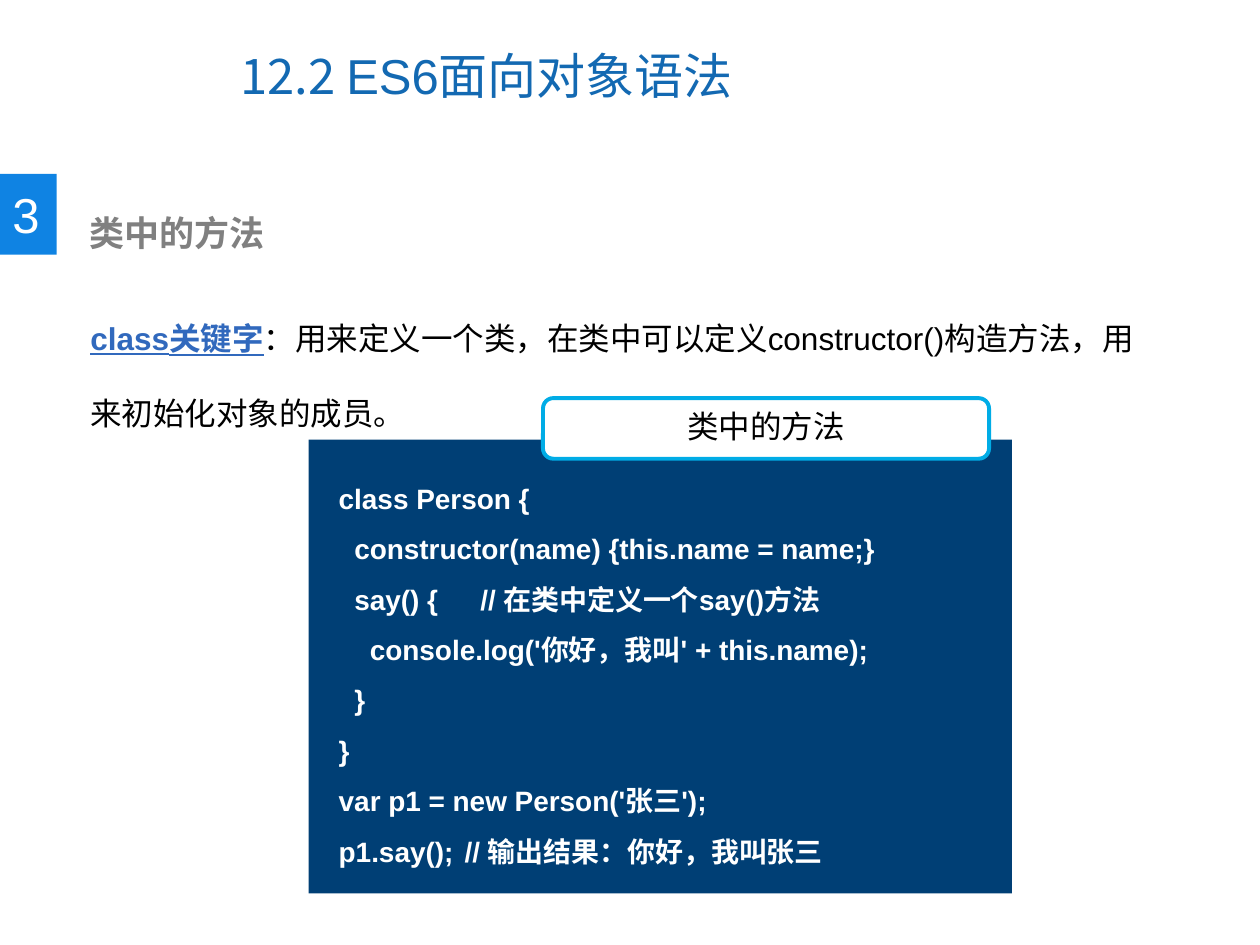
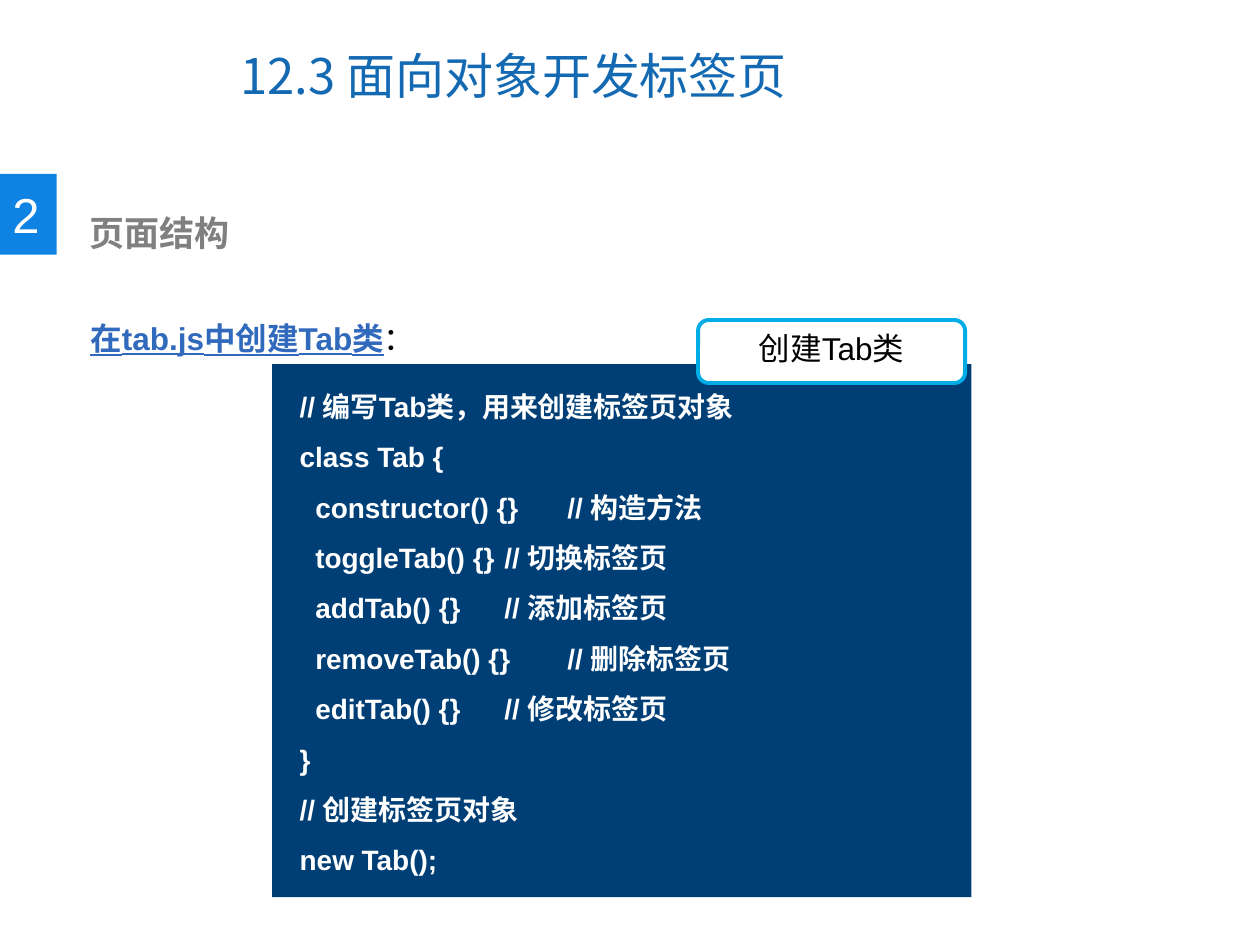
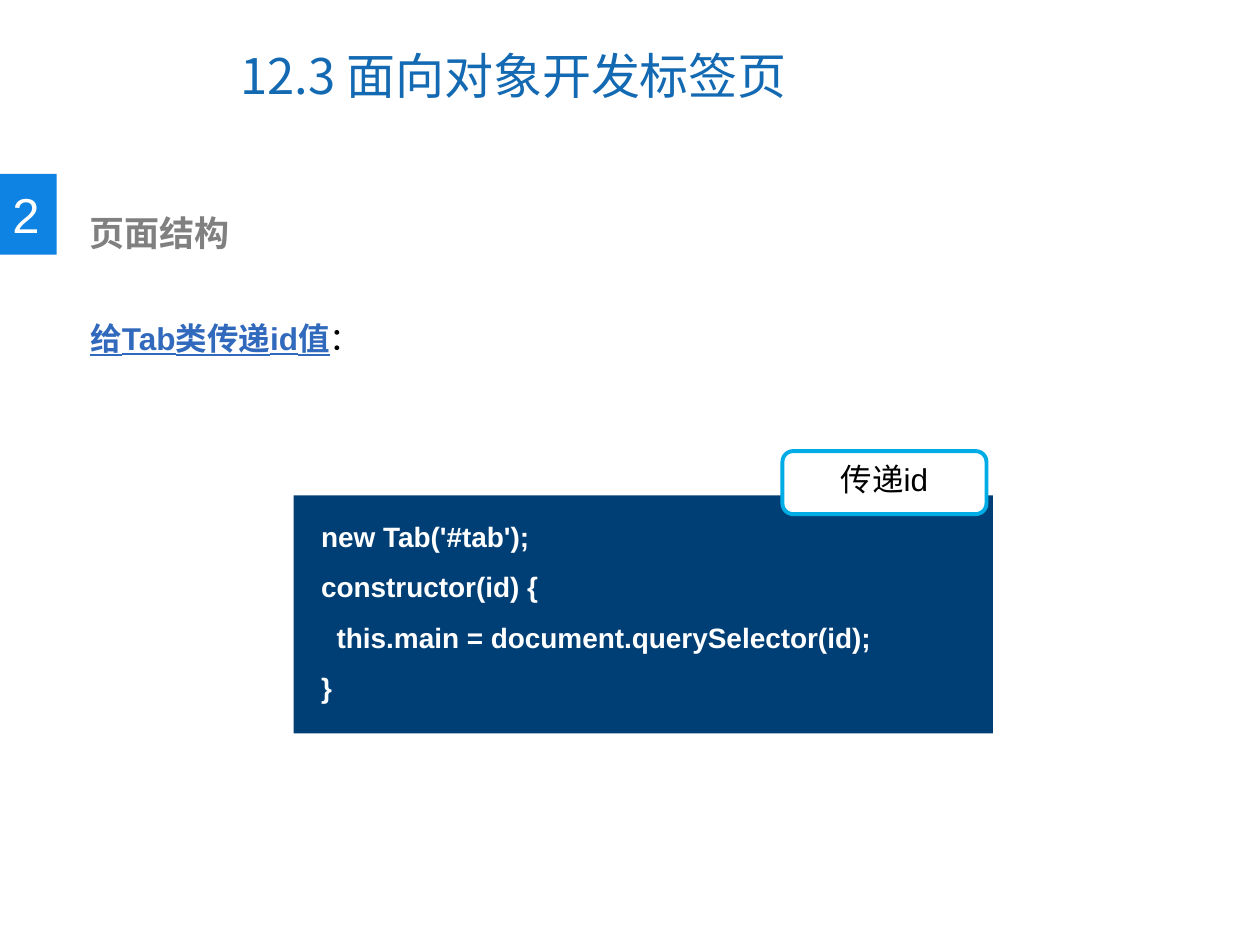
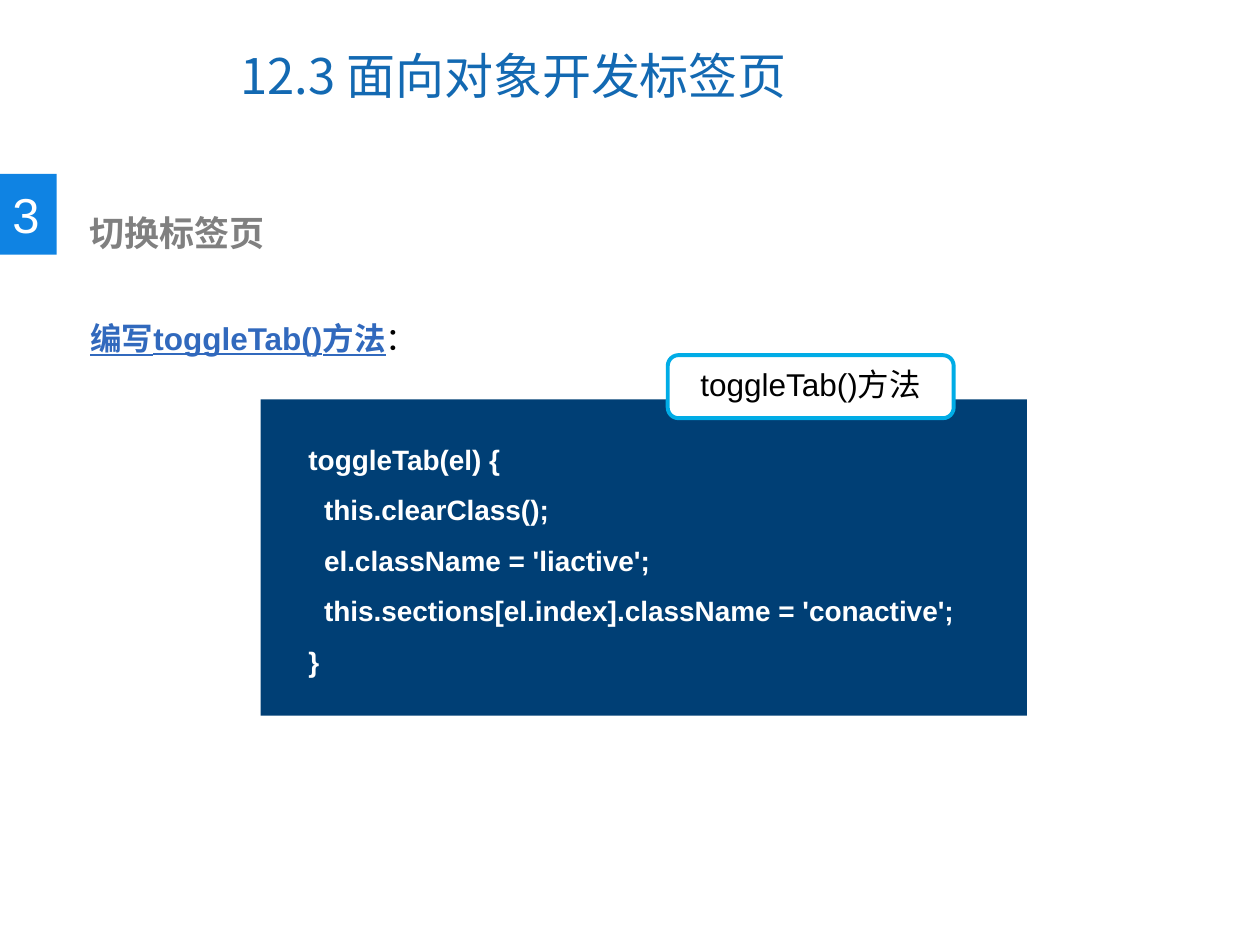
"""Build four lesson slides on classes in JavaScript and save them as out.pptx."""

from dataclasses import dataclass

from lxml import etree
from pptx import Presentation
from pptx.dml.color import RGBColor
from pptx.enum.shapes import MSO_SHAPE
from pptx.enum.text import MSO_ANCHOR, PP_ALIGN
from pptx.oxml.ns import qn
from pptx.util import Pt

RECTANGLE = MSO_SHAPE.RECTANGLE
ROUNDED = MSO_SHAPE.ROUNDED_RECTANGLE
TOP, MIDDLE = MSO_ANCHOR.TOP, MSO_ANCHOR.MIDDLE
LEFT, CENTER = PP_ALIGN.LEFT, PP_ALIGN.CENTER

LATIN = "Arial"
CHINESE = "Noto Sans CJK SC"
COLORS = {
    "title": "1369B2",
    "badge": "0F83E3",
    "subtitle": "808080",
    "keyword": "3169BD",
    "panel": "003F75",
    "tag_line": "00ACE6",
    "white": "FFFFFF",
    "black": "000000",
}
INDENT = 8.9
CODE_LINE_HEIGHT = 29
CODE_MARGINS = 7.2


@dataclass(frozen=True)
class Box:
    left: float
    top: float
    width: float
    height: float


@dataclass(frozen=True)
class Style:
    size: float
    color: str
    font: str = LATIN
    bold: bool = False
    underline: bool = False


@dataclass(frozen=True)
class Segment:
    text: str
    style: Style


@dataclass(frozen=True)
class CodeLine:
    text: str
    level: int = 0


@dataclass(frozen=True)
class Listing:
    panel: Box
    text_left: float
    text_top: float
    text_width: float
    lines: list[CodeLine]


@dataclass(frozen=True)
class Tag:
    text: str
    box: Box


@dataclass(frozen=True)
class Lesson:
    title: list[Segment]
    number: str
    subtitle: str
    keyword: str
    explanation: str
    explanation_height: float
    listing: Listing
    tag: Tag


TITLE_BOX = Box(130.3, 12.2, 371.5, 61.2)
BADGE_BOX = Box(0, 99.4, 32.4, 46.1)
NUMBER_BOX = Box(0, 102.2, 30.2, 41)
SUBTITLE_BOX = Box(33.8, 117.4, 370, 31.7)

TITLE = Style(28, "title", CHINESE)
TITLE_LATIN = Style(28, "title")
NUMBER = Style(28, "white")
SUBTITLE = Style(20, "subtitle", CHINESE, bold=True)
KEYWORD = Style(18, "keyword", bold=True, underline=True)
BODY = Style(18, "black")
CODE = Style(16, "white", bold=True)

TAB_TITLE = [Segment("12.3 面向对象开发标签页", TITLE)]

LESSONS = [
    Lesson(
        title=[
            Segment("12.2 ", TITLE),
            Segment("ES6", TITLE_LATIN),
            Segment("面向对象语法", TITLE),
        ],
        number="3",
        subtitle="类中的方法",
        keyword="class关键字",
        explanation="：用来定义一个类，在类中可以定义constructor()构造方法，用来初始化对象的成员。",
        explanation_height=94.3,
        listing=Listing(Box(176.4, 251.3, 401.8, 259.2), 186.5, 262.1, 391.7, [
            CodeLine("class Person {"),
            CodeLine("constructor(name) {this.name = name;}", 1),
            CodeLine("say() {\t// 在类中定义一个say()方法", 1),
            CodeLine("console.log('你好，我叫' + this.name);", 2),
            CodeLine("}", 1),
            CodeLine("}"),
            CodeLine("var p1 = new Person('张三');"),
            CodeLine("p1.say();\t// 输出结果：你好，我叫张三"),
        ]),
        tag=Tag("类中的方法", Box(310.3, 227.5, 254.9, 34.6)),
    ),
    Lesson(
        title=TAB_TITLE,
        number="2",
        subtitle="页面结构",
        keyword="在tab.js中创建Tab类",
        explanation="：",
        explanation_height=51.1,
        listing=Listing(Box(155.5, 208.1, 399.6, 304.6), 164.2, 209.5, 391, [
            CodeLine("// 编写Tab类，用来创建标签页对象"),
            CodeLine("class Tab {"),
            CodeLine("constructor() {}\t// 构造方法", 1),
            CodeLine("toggleTab() {}\t// 切换标签页", 1),
            CodeLine("addTab() {}\t// 添加标签页", 1),
            CodeLine("removeTab() {}\t// 删除标签页", 1),
            CodeLine("editTab() {}\t// 修改标签页", 1),
            CodeLine("}"),
            CodeLine("// 创建标签页对象"),
            CodeLine("new Tab();"),
        ]),
        tag=Tag("创建Tab类", Box(398.9, 182.9, 152.6, 36)),
    ),
    Lesson(
        title=TAB_TITLE,
        number="2",
        subtitle="页面结构",
        keyword="给Tab类传递id值",
        explanation="：",
        explanation_height=51.1,
        listing=Listing(Box(167.8, 283, 399.6, 136.1), 176.4, 283.7, 391, [
            CodeLine("new Tab('#tab');"),
            CodeLine("constructor(id) {"),
            CodeLine("this.main = document.querySelector(id);", 1),
            CodeLine("}"),
        ]),
        tag=Tag("传递id", Box(447.1, 257.8, 116.6, 36)),
    ),
    Lesson(
        title=TAB_TITLE,
        number="3",
        subtitle="切换标签页",
        keyword="编写toggleTab()方法",
        explanation="：",
        explanation_height=43.9,
        listing=Listing(Box(149, 228.2, 437.8, 180.7), 169.2, 239.8, 400.3, [
            CodeLine("toggleTab(el) {"),
            CodeLine("this.clearClass();", 1),
            CodeLine("el.className = 'liactive';", 1),
            CodeLine("this.sections[el.index].className = 'conactive';", 1),
            CodeLine("}"),
        ]),
        tag=Tag("toggleTab()方法", Box(381.6, 203, 163.4, 36)),
    ),
]


def place(box: Box) -> tuple:
    """Return a box as four lengths."""
    return Pt(box.left), Pt(box.top), Pt(box.width), Pt(box.height)


def format_run(run, style: Style) -> None:
    """Apply a style and the Chinese font to a run."""
    font = run.font
    font.name = style.font
    font.size = Pt(style.size)
    font.bold = style.bold
    font.underline = style.underline
    font.color.rgb = RGBColor.from_string(COLORS[style.color])
    east_asian = etree.Element(qn("a:ea"), typeface=CHINESE)
    font._element.find(qn("a:latin")).addnext(east_asian)


def fill_paragraph(paragraph, segments: list[Segment], spacing: float = 1) -> None:
    """Write styled segments into a paragraph."""
    paragraph.line_spacing = spacing
    for segment in segments:
        run = paragraph.add_run()
        run.text = segment.text
        format_run(run, segment.style)


def add_text(slide, box: Box, segments: list[Segment], spacing: float = 1,
             anchor=TOP, wrap: bool = True):
    """Add a text box with one paragraph and return its frame."""
    text_frame = slide.shapes.add_textbox(*place(box)).text_frame
    text_frame.word_wrap = wrap
    text_frame.vertical_anchor = anchor
    fill_paragraph(text_frame.paragraphs[0], segments, spacing)
    return text_frame


def add_block(slide, kind, box: Box, color: str):
    """Add a flat filled shape without an outline."""
    shape = slide.shapes.add_shape(kind, *place(box))
    shape.shadow.inherit = False
    shape.fill.solid()
    shape.fill.fore_color.rgb = RGBColor.from_string(COLORS[color])
    shape.line.fill.background()
    return shape


def add_listing(slide, listing: Listing) -> None:
    """Add the dark panel and its indented code."""
    add_block(slide, RECTANGLE, listing.panel, "panel")
    height = CODE_LINE_HEIGHT * len(listing.lines) + CODE_MARGINS
    box = Box(listing.text_left, listing.text_top, listing.text_width, height)
    text_frame = slide.shapes.add_textbox(*place(box)).text_frame
    text_frame.word_wrap = True
    text_frame.text = "\n".join(line.text for line in listing.lines)
    for paragraph, line in zip(text_frame.paragraphs, listing.lines):
        paragraph.alignment = LEFT
        paragraph.line_spacing = 1.5
        if line.level:
            properties = paragraph._p.get_or_add_pPr()
            properties.set("marL", str(Pt(INDENT * line.level)))
            properties.set("indent", "0")
        for run in paragraph.runs:
            format_run(run, CODE)


def add_tag(slide, tag: Tag) -> None:
    """Add the rounded caption on the edge of the panel."""
    shape = add_block(slide, ROUNDED, tag.box, "white")
    shape.adjustments[0] = 0.17
    shape.line.color.rgb = RGBColor.from_string(COLORS["tag_line"])
    shape.line.width = Pt(2.25)
    text_frame = shape.text_frame
    text_frame.vertical_anchor = TOP
    paragraph = text_frame.paragraphs[0]
    paragraph.alignment = CENTER
    fill_paragraph(paragraph, [Segment(tag.text, BODY)])


def add_heading(slide, lesson: Lesson) -> None:
    """Add the title, the numbered badge and the subtitle."""
    add_text(slide, TITLE_BOX, lesson.title, anchor=MIDDLE)
    add_block(slide, RECTANGLE, BADGE_BOX, "badge")
    add_text(slide, NUMBER_BOX, [Segment(lesson.number, NUMBER)], wrap=False)
    subtitle = add_text(slide, SUBTITLE_BOX, [Segment(lesson.subtitle, SUBTITLE)])
    subtitle.margin_left = Pt(17.2)


def add_lesson(presentation, lesson: Lesson) -> None:
    """Add one complete lesson slide."""
    slide = presentation.slides.add_slide(presentation.slide_layouts[6])
    add_heading(slide, lesson)
    explanation_box = Box(44.6, 157, 622.8, lesson.explanation_height)
    segments = [Segment(lesson.keyword, KEYWORD), Segment(lesson.explanation, BODY)]
    add_text(slide, explanation_box, segments, spacing=2)
    add_listing(slide, lesson.listing)
    add_tag(slide, lesson.tag)


def main() -> None:
    """Build and save the presentation."""
    presentation = Presentation()
    presentation.slide_width = Pt(720)
    presentation.slide_height = Pt(540)
    for lesson in LESSONS:
        add_lesson(presentation, lesson)
    presentation.save("out.pptx")


if __name__ == "__main__":
    main()
